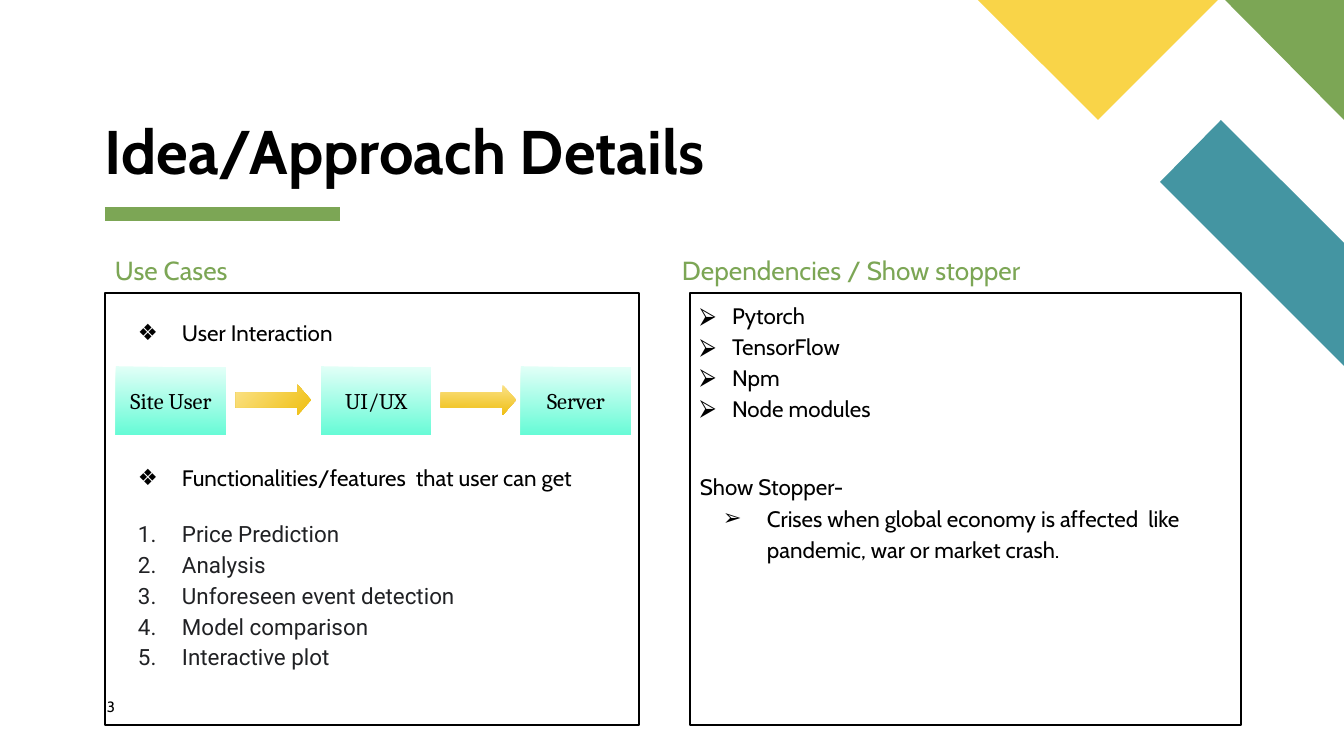
from lxml.etree import SubElement
from pptx import Presentation
from pptx.dml.color import RGBColor
from pptx.enum.shapes import MSO_CONNECTOR, MSO_SHAPE
from pptx.enum.text import MSO_ANCHOR as Anchor, MSO_AUTO_SIZE, PP_ALIGN as Align
from pptx.oxml.ns import qn
from pptx.util import Emu, Pt

# Content
TITLE = "Idea/Approach Details"
PAGE_NUMBER = "3"
BLACK, GREEN, TEAL, YELLOW, INK = "000000", "7CA655", "4495A2", "F9D448", "202124"
MINT, GOLD = ("E4FFF8", "66FBD6"), ("FBE288", "EFBF11")

NUMBERED = dict(font="Roboto", color=INK, bullet="number", left=67, hang=44, spacing=1.15)
DIAMOND = dict(bullet="❖", left=67, hang=44, spacing=0.9)
ARROWHEAD = dict(bullet="⮚", left=32, hang=32, spacing=1.15)

USE_CASES = [
    ("User Interaction", DIAMOND),
    ("Functionalities/features  that user can get", dict(DIAMOND, before=65)),
    ("Price Prediction", dict(NUMBERED, before=13)),
    ("Analysis", NUMBERED),
    ("Unforeseen event detection", NUMBERED),
    ("Model comparison", NUMBERED),
    ("Interactive plot", NUMBERED),
]
DEPENDENCIES = [
    *[(name, ARROWHEAD) for name in ("Pytorch", "TensorFlow", "Npm", "Node modules")],
    ("Show Stopper-", dict(spacing=0.9, before=29.5)),
    ("Crises when global economy is affected  like pandemic, war or market crash.",
     dict(ARROWHEAD, bullet="➢", left=67, hang=44)),
]
# heading placeholder, heading, heading x and width, lines, box x and width, top inset
COLUMNS = [
    (1, "Use Cases", 105, 534, USE_CASES, 105, 534, 29),
    (3, "Dependencies / Show stopper", 672, 567, DEPENDENCIES, 690, 551, 5),
]
FLOW_BOXES = [("Site User", 116), ("UI/UX", 321), ("Server", 521)]
FLOW_ARROWS = [(236, True), (441, False)]  # x, radial gradient
CORNERS = [
    (TEAL, [(1344, 366), (1344, 243), (1221, 120), (1160, 182)]),
    (GREEN, [(1344, 120), (1344, 0), (1225, 0)]),
    (YELLOW, [(978, 0), (1098, 120), (1218, 0)]),
]

PX = 914400 / 134.4


def px(*lengths):
    return [Emu(round(length * PX)) for length in lengths]


def rgb(color):
    return RGBColor.from_string(color)


def place(shape, *box):
    shape.left, shape.top, shape.width, shape.height = px(*box)


def set_frame(shape, insets, anchor=Anchor.TOP):
    frame = shape.text_frame
    frame.word_wrap = True
    frame.auto_size = MSO_AUTO_SIZE.NONE
    frame.vertical_anchor = anchor
    (frame.margin_left, frame.margin_top,
     frame.margin_right, frame.margin_bottom) = px(*insets)
    return frame


def write(para, text, size=12, font="Cabin", color=BLACK, bold=False, align=Align.LEFT,
          spacing=1.0, before=0, bullet=None, left=0, hang=0):
    para.alignment, para.line_spacing = align, spacing
    para.space_before, para.space_after = Pt(before), Pt(0)
    props = para._p.get_or_add_pPr()
    indent_left, indent_first = px(left, -hang)
    props.set("marL", str(indent_left))
    props.set("indent", str(indent_first))
    if bullet == "number":
        SubElement(props, qn("a:buAutoNum"), type="arabicPeriod")
    elif bullet:
        SubElement(props, qn("a:buChar"), char=bullet)
    else:
        SubElement(props, qn("a:buNone"))
    span = para.add_run()
    span.text = text
    span.font.size, span.font.name, span.font.bold = Pt(size), font, bold
    span.font.color.rgb = rgb(color)


def add_gradient_shape(kind, box, colors):
    shape = page.shapes.add_shape(kind, *px(*box))
    shape.shadow.inherit = False
    shape.line.fill.background()
    shape.fill.gradient()
    shape.fill.gradient_angle = 269
    for stop, color in zip(shape.fill.gradient_stops, colors):
        stop.color.rgb = rgb(color)
    return shape


deck = Presentation()
deck.slide_width, deck.slide_height = px(1344, 756)
page = deck.slides.add_slide(deck.slide_layouts[4])
holders = {holder.placeholder_format.idx: holder for holder in page.placeholders}

# Corner decoration
for color, (start, *rest) in CORNERS:
    builder = page.shapes.build_freeform(*start, scale=PX)
    builder.add_line_segments(rest, close=True)
    corner = builder.convert_to_shape()
    corner.shadow.inherit = False
    corner.fill.solid()
    corner.fill.fore_color.rgb = rgb(color)
    corner.line.fill.background()

# Title and its underline
title = page.shapes.title
place(title, 105, 121, 637, 67)
write(set_frame(title, (0, 0, 0, 0), Anchor.BOTTOM).paragraphs[0], TITLE,
      size=33, bold=True, spacing=0.9)
underline = page.shapes.add_connector(MSO_CONNECTOR.STRAIGHT, *px(105, 214, 340, 214))
underline.line.color.rgb = rgb(GREEN)
underline.line.width = Pt(8)
SubElement(underline._element.spPr, qn("a:effectLst"))

# Two columns, each a heading over an outlined list
for idx, heading, head_x, head_w, lines, box_x, box_w, inset_top in COLUMNS:
    head, box = holders[idx], holders[idx + 1]
    place(head, head_x, 253, head_w, 35)
    write(set_frame(head, (10, 5, 10, 5)).paragraphs[0], heading, size=14, color=GREEN,
          spacing=0.9)
    place(box, box_x, 293, box_w, 432)
    box.line.color.rgb = rgb(BLACK)
    box.line.width = Pt(0.75)
    frame = set_frame(box, (10, inset_top, 10, 5))
    for number, (text, style) in enumerate(lines):
        write(frame.add_paragraph() if number else frame.paragraphs[0], text, **style)

# Interaction flow
for label, x in FLOW_BOXES:
    step = add_gradient_shape(MSO_SHAPE.RECTANGLE, (x, 367, 110, 68), MINT)
    frame = set_frame(step, (12, 12, 12, 12), Anchor.MIDDLE)
    write(frame.paragraphs[0], label, font="Cambria", align=Align.CENTER)
for x, radial in FLOW_ARROWS:
    arrow = add_gradient_shape(MSO_SHAPE.RIGHT_ARROW, (x, 385, 75, 30), GOLD)
    arrow.adjustments[0], arrow.adjustments[1] = 0.5, 0.44
    if radial:
        gradient = arrow._element.spPr.find(qn("a:gradFill"))
        gradient.remove(gradient.find(qn("a:lin")))
        circle = SubElement(gradient, qn("a:path"), path="circle")
        SubElement(circle, qn("a:fillToRect"), r="100000", b="100000")

# Page number
number_box = page.shapes.add_textbox(*px(107, 698, 58, 27))
write(set_frame(number_box, (0, 0, 0, 0)).paragraphs[0], PAGE_NUMBER, size=8)

deck.save("out.pptx")
